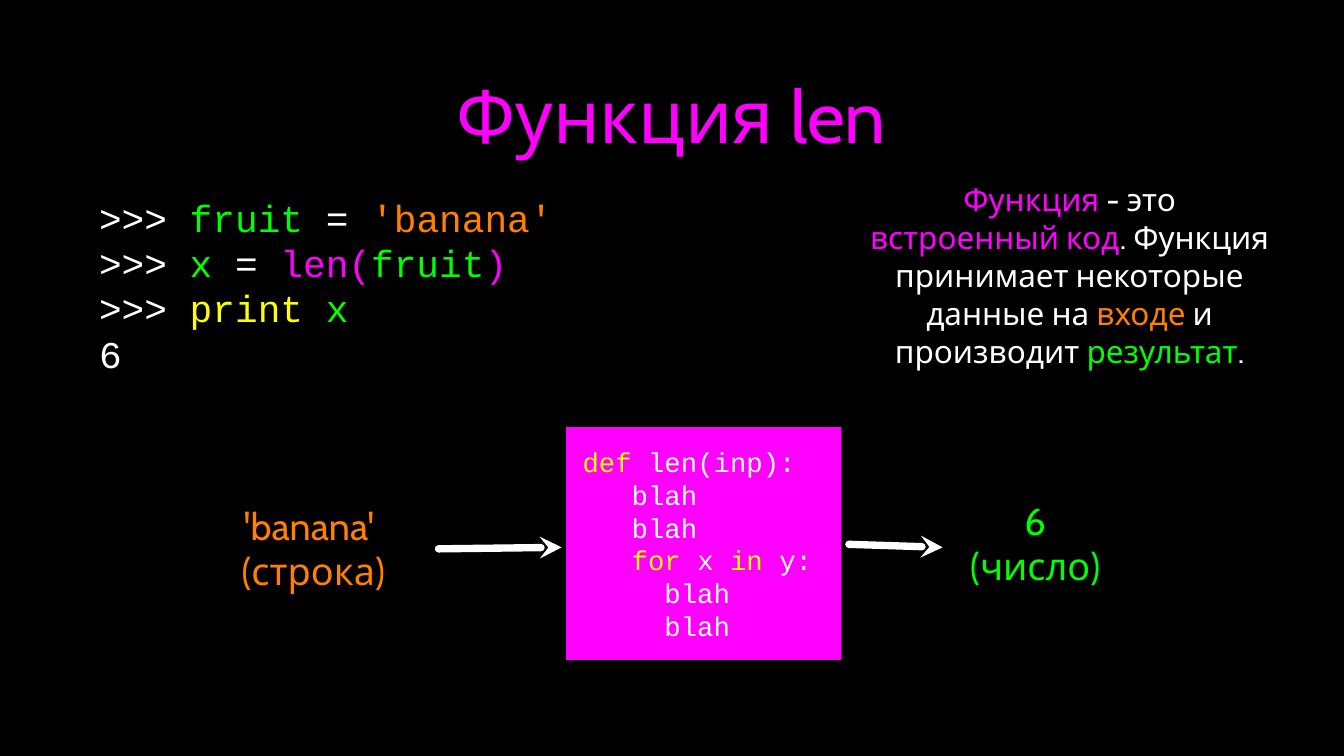
from pptx import Presentation
from pptx.dml.color import RGBColor
from pptx.enum.shapes import MSO_CONNECTOR as LINE, MSO_SHAPE as SHAPE
from pptx.enum.text import MSO_ANCHOR as ANCHOR, PP_ALIGN as ALIGN
from pptx.oxml.ns import qn
from pptx.util import Inches, Pt
from lxml.etree import SubElement

BLACK = RGBColor(0, 0, 0)
WHITE = RGBColor(255, 255, 255)
PINK = RGBColor(255, 0, 255)
ORANGE = RGBColor(255, 127, 0)
GREEN = RGBColor(0, 255, 0)
YELLOW = RGBColor(255, 255, 0)
SANS, MONO = "Cabin", "Courier New"
CODE_SIZE = 26
CHAR = 0.6 * CODE_SIZE / 72  # width of one code character, inches

# Content: each line is a list of (text, colour) runs
TITLE = [[("Функция len", PINK)]]
SHELL = [
    [(">>> ", WHITE), ("fruit ", GREEN), ("=", WHITE), (" 'banana'", ORANGE)],
    [(">>> ", WHITE), ("x ", GREEN), ("= ", WHITE), ("len(", PINK),
     ("fruit", GREEN), (")", PINK)],
    [(">>> ", WHITE), ("print ", YELLOW), ("x", GREEN)],
    [("6", WHITE)],
]
ABOUT = [[
    ("Функция", PINK), (" - это ", WHITE), ("встроенный код", PINK),
    (". Функция принимает некоторые данные на ", WHITE), ("входе", ORANGE),
    (" и производит ", WHITE), ("результат", GREEN), (".", WHITE),
]]
CODE = [
    [("def", YELLOW), (" len(inp):", WHITE)],
    [("blah", WHITE)],
    [("blah", WHITE)],
    [("for", YELLOW), (" x ", WHITE), ("in", YELLOW), (" y:", WHITE)],
    [("blah", WHITE)],
    [("blah", WHITE)],
]
STEPS = [1, 4, 4, 4, 6, 6]  # code indents, in characters
INPUT = [[("'banana' ", ORANGE)], [("(строка)", ORANGE)]]
OUTPUT = [[("6", GREEN)], [("(число)", GREEN)]]

# Text boxes: lines, (left, top, width, height), font, size, alignment
BOXES = [
    (TITLE, (1.26, 0.26, 15.24, 2.51), SANS, 70, ALIGN.CENTER),
    (SHELL, (1.31, 2.56, 7.21, 2.42), MONO, 36, ALIGN.LEFT),
    (ABOUT, (11.45, 2.44, 5.4, 2.39), SANS, 30, ALIGN.CENTER),
    (INPUT, (2.96, 6.64, 2.37, 1.21), SANS, 36, ALIGN.CENTER),
    (OUTPUT, (12.51, 6.56, 2.37, 1.25), SANS, 36, ALIGN.CENTER),
]
BLOCK = (7.49, 5.65, 3.64, 3.08)
ARROWS = [(5.8, 7.26, 7.43, 7.24), (11.23, 7.2, 12.47, 7.24)]


def place(nums):
    return [Inches(n) for n in nums]


def write(shape, lines, font, size, align):
    frame = shape.text_frame
    frame.word_wrap = True
    frame.vertical_anchor = ANCHOR.MIDDLE
    frame.margin_left = frame.margin_right = 0
    frame.margin_top = frame.margin_bottom = 0
    for i, line in enumerate(lines):
        para = frame.add_paragraph() if i else frame.paragraphs[0]
        para.alignment = align
        para.font.name, para.font.size = font, Pt(size)
        for text, color in line:
            run = para.add_run()
            run.text = text
            run.font.color.rgb = color


prs = Presentation()
prs.slide_width, prs.slide_height = Inches(17.78), Inches(10)
slide = prs.slides.add_slide(prs.slide_layouts[6])
slide.background.fill.solid()
slide.background.fill.fore_color.rgb = BLACK
shapes = slide.shapes

# Function block, with its code indented by whole characters
block = shapes.add_shape(SHAPE.RECTANGLE, *place(BLOCK))
block.shadow.inherit = False
block.fill.solid()
block.fill.fore_color.rgb = PINK
block.line.fill.background()
write(block, CODE, MONO, CODE_SIZE, ALIGN.LEFT)
for para, step in zip(block.text_frame.paragraphs, STEPS):
    props = para._p.get_or_add_pPr()
    props.set("marL", str(Inches(step * CHAR)))
    props.set("indent", "0")

# Arrows into and out of the block
for ends in ARROWS:
    arrow = shapes.add_connector(LINE.STRAIGHT, *place(ends))
    arrow.line.color.rgb = WHITE
    arrow.line.width = Pt(7)
    ln = arrow.line._get_or_add_ln()
    ln.set("cap", "rnd")
    SubElement(ln, qn("a:tailEnd"), type="stealth")
    SubElement(arrow._element.spPr, qn("a:effectLst"))

# Title, shell session, definition and labels
for lines, spot, font, size, align in BOXES:
    write(shapes.add_textbox(*place(spot)), lines, font, size, align)

prs.save("out.pptx")
